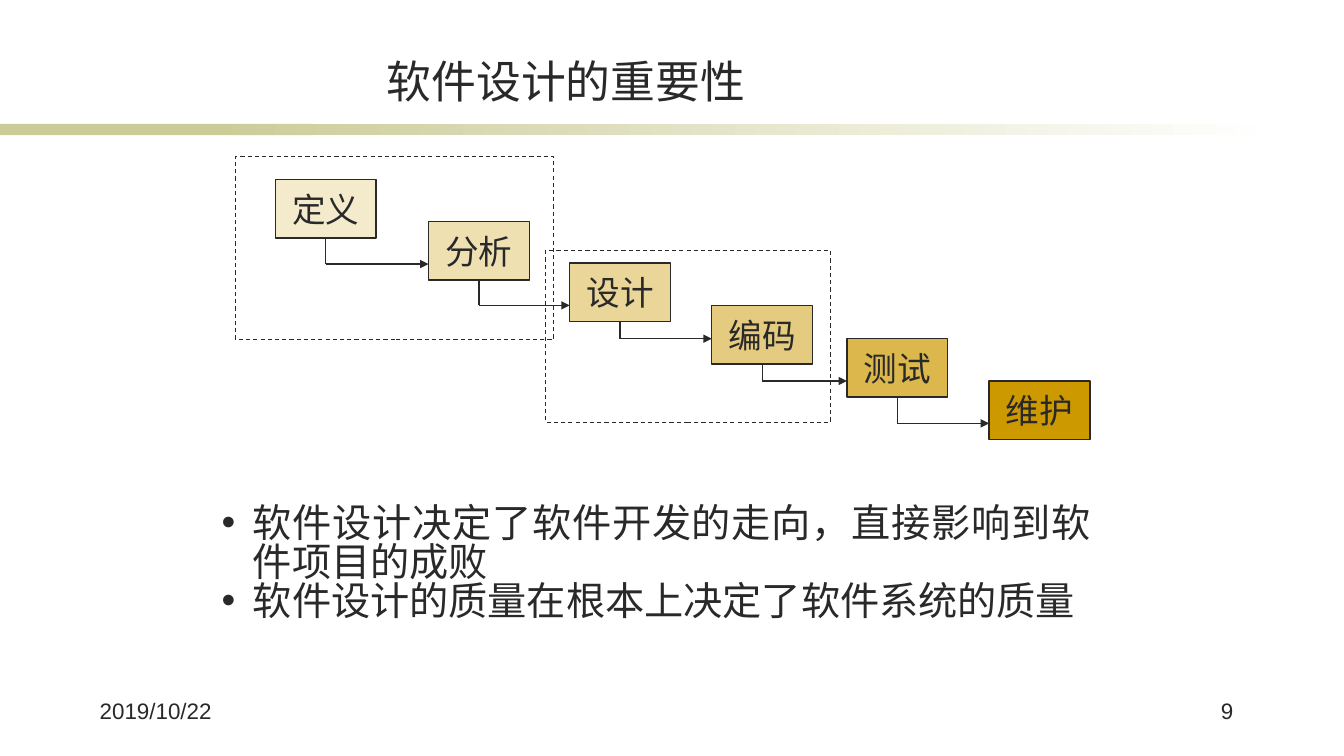
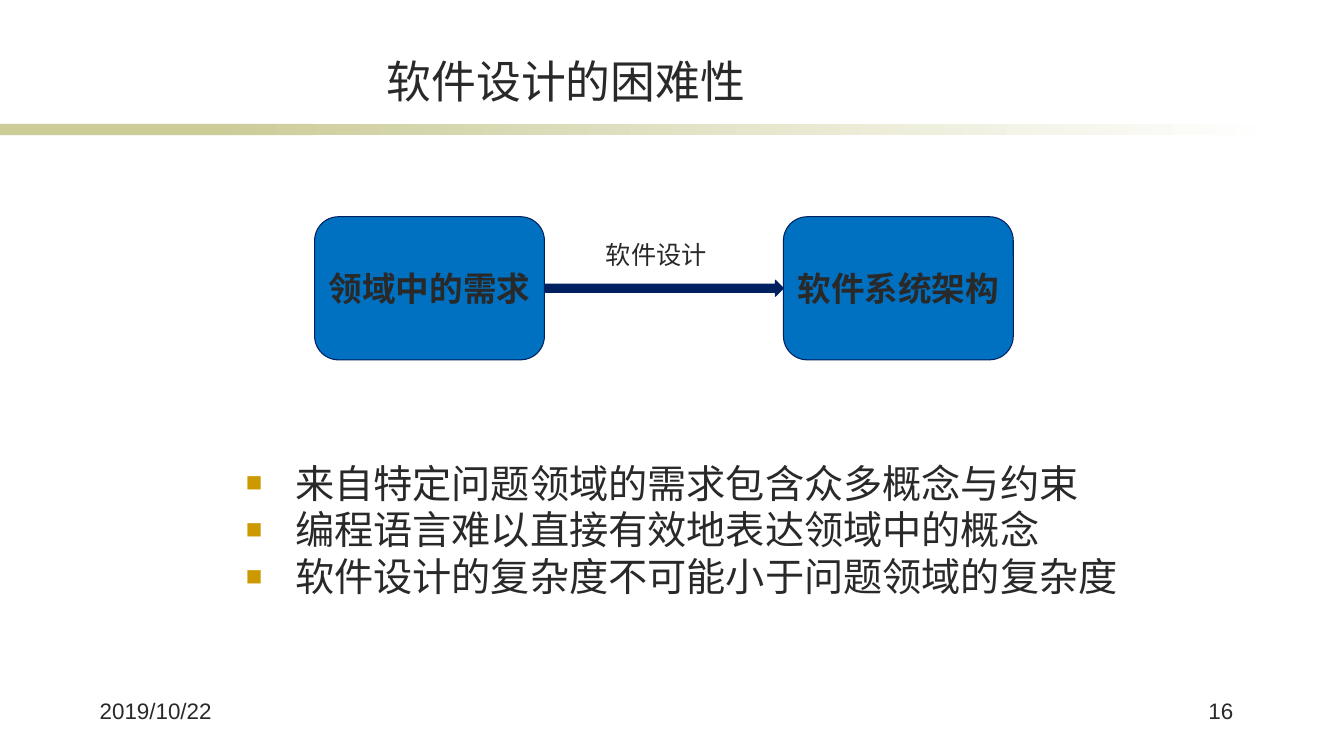
from dataclasses import dataclass
from itertools import pairwise
from typing import Optional

from lxml import etree
from pptx import Presentation
from pptx import util as u
from pptx.dml.color import RGBColor
from pptx.enum import dml, shapes, text
from pptx.oxml import ns


@dataclass(frozen=True)
class Theme:
    ink: str = "292929"
    band: str = "CCCC99"
    paper: str = "FFFFFF"
    gold: str = "CC9900"
    blue: str = "0070C0"
    navy: str = "002060"
    latin: str = "Arial"
    serif: str = "Times New Roman"
    chinese: str = "Noto Sans CJK SC"
    title_size: int = 32
    body_size: int = 28
    box_size: int = 24
    label_size: int = 18
    footer_size: int = 16
    body_leading: float = 0.83


@dataclass(frozen=True)
class Box:
    left: float
    top: float
    width: float
    height: float

    def lengths(self) -> tuple:
        return tuple(u.Inches(v) for v in (self.left, self.top, self.width, self.height))


@dataclass(frozen=True)
class Stage:
    name: str
    left: float
    top: float
    opacity: int
    entry: float = 0.42  # arrow height below the top of the box


@dataclass(frozen=True)
class Bullet:
    mark: str
    indent: float
    align: text.PP_ALIGN
    font: str
    gap: float = 0
    colour: Optional[str] = None
    size_percent: Optional[int] = None


THEME = Theme()
DATE = "2019/10/22"
TITLE_BOX = Box(1.52, 0.44, 8.19, 0.63)
STAGE_WIDTH, STAGE_HEIGHT = 1.0, 0.58
STAGES = (
    Stage("定义", 2.73, 1.78, 20),
    Stage("分析", 4.25, 2.2, 30),
    Stage("设计", 5.65, 2.61, 40),
    Stage("编码", 7.06, 3.03, 50, entry=0.33),
    Stage("测试", 8.4, 3.36, 70),
    Stage("维护", 9.81, 3.78, 100),
)
PHASE_FRAMES = (Box(2.34, 1.55, 3.15, 1.82), Box(5.41, 2.49, 2.83, 1.7))
IMPORTANCE = (
    "软件设计决定了软件开发的走向，直接影响到软件项目的成败",
    "软件设计的质量在根本上决定了软件系统的质量",
)
DIFFICULTIES = (
    "来自特定问题领域的需求包含众多概念与约束",
    "编程语言难以直接有效地表达领域中的概念",
    "软件设计的复杂度不可能小于问题领域的复杂度",
)
DOT = Bullet("•", 0.31, text.PP_ALIGN.JUSTIFY, THEME.serif)
SQUARE = Bullet("■", 0.49, text.PP_ALIGN.LEFT, THEME.latin, 5.6, THEME.gold, 70)


def rgb(colour: str) -> RGBColor:
    return RGBColor.from_string(colour)


def add_child(parent, tag: str, **attributes: str):
    child = etree.SubElement(parent, ns.qn(tag))
    for key, value in attributes.items():
        child.set(key, value)
    return child


def format_paragraph(paragraph, size: float, font: str, align=text.PP_ALIGN.LEFT,
                     bold: bool = False) -> None:
    paragraph.alignment = align
    for run in paragraph.runs:
        run.font.size = u.Pt(size)
        run.font.bold = bold
        run.font.color.rgb = rgb(THEME.ink)
        run.font.name = font
        add_child(run._r.get_or_add_rPr(), "a:ea", typeface=THEME.chinese)


def add_label(slide, box: Box, words: str, size: float, font: str,
              align=text.PP_ALIGN.LEFT, inset_top: float = 0.05) -> None:
    frame = slide.shapes.add_textbox(*box.lengths()).text_frame
    frame.word_wrap = True
    frame.margin_top = u.Inches(inset_top)
    frame.text = words
    format_paragraph(frame.paragraphs[0], size, font, align)


def add_block(slide, kind, box: Box, fill: Optional[str] = None,
              line: Optional[str] = None, line_width: float = 0.75):
    block = slide.shapes.add_shape(kind, *box.lengths())
    block.shadow.inherit = False
    if fill:
        block.fill.solid()
        block.fill.fore_color.rgb = rgb(fill)
    else:
        block.fill.background()
    if line:
        block.line.color.rgb = rgb(line)
        block.line.width = u.Pt(line_width)
    else:
        block.line.fill.background()
    return block


def write_in_block(block, words: str, font: str, bold: bool = False) -> None:
    frame = block.text_frame
    frame.word_wrap = False
    frame.vertical_anchor = text.MSO_ANCHOR.MIDDLE
    frame.text = words
    format_paragraph(frame.paragraphs[0], THEME.box_size, font, text.PP_ALIGN.CENTER, bold)


def add_line(slide, start: tuple[float, float], end: tuple[float, float],
             arrow: bool = False) -> None:
    line = slide.shapes.add_connector(
        shapes.MSO_CONNECTOR.STRAIGHT, *(u.Inches(v) for v in (*start, *end)))
    line.line.color.rgb = rgb(THEME.ink)
    line.line.width = u.Pt(1)
    if arrow:
        add_child(line.line._get_or_add_ln(), "a:tailEnd", type="triangle")
    add_child(line._element.spPr, "a:effectLst")


def add_bullets(slide, box: Box, points: tuple[str, ...], bullet: Bullet) -> None:
    frame = slide.shapes.add_textbox(*box.lengths()).text_frame
    frame.word_wrap = True
    frame.margin_top = u.Inches(0.09)
    frame.text = "\n".join(points)
    for index, paragraph in enumerate(frame.paragraphs):
        properties = paragraph._p.get_or_add_pPr()
        indent = u.Inches(bullet.indent)
        properties.set("marL", str(indent))
        properties.set("indent", str(-indent))
        if bullet.colour:
            add_child(add_child(properties, "a:buClr"), "a:srgbClr", val=bullet.colour)
        if bullet.size_percent:
            add_child(properties, "a:buSzPct", val=str(bullet.size_percent * 1000))
        add_child(properties, "a:buFont", typeface=THEME.latin)
        add_child(properties, "a:buChar", char=bullet.mark)
        paragraph.line_spacing = THEME.body_leading
        paragraph.space_before = u.Pt(bullet.gap if index else 0)
        format_paragraph(paragraph, THEME.body_size, bullet.font, bullet.align)


def start_slide(deck, heading: str, number: int):
    """Add a slide with the shared band, footer and title."""
    slide = deck.slides.add_slide(deck.slide_layouts[5])
    rectangle = shapes.MSO_SHAPE.RECTANGLE
    add_block(slide, rectangle, Box(0, 1.23, 3.11, 0.11), THEME.band)
    fade = add_block(slide, rectangle, Box(2.11, 1.23, 10.56, 0.11)).fill
    fade.gradient()
    fade.gradient_angle = 0
    for stop, colour in zip(fade.gradient_stops, (THEME.band, THEME.paper)):
        stop.color.rgb = rgb(colour)

    add_label(slide, Box(0.89, 6.87, 1.89, 0.5), DATE, THEME.footer_size, THEME.latin)
    add_label(slide, Box(10.97, 6.87, 1.36, 0.5), str(number), THEME.footer_size,
              THEME.latin, text.PP_ALIGN.RIGHT)

    title = slide.shapes.title
    title.left, title.top, title.width, title.height = TITLE_BOX.lengths()
    frame = title.text_frame
    frame.auto_size = text.MSO_AUTO_SIZE.NONE
    frame.vertical_anchor = text.MSO_ANCHOR.BOTTOM
    frame.margin_bottom = 0
    frame.text = heading
    format_paragraph(frame.paragraphs[0], THEME.title_size, THEME.latin, text.PP_ALIGN.CENTER)
    return slide


def add_stage(slide, stage: Stage) -> None:
    block = add_block(slide, shapes.MSO_SHAPE.RECTANGLE,
                      Box(stage.left, stage.top, STAGE_WIDTH, STAGE_HEIGHT),
                      THEME.gold, THEME.ink, 1)
    if stage.opacity < 100:
        colour = block._element.spPr.find(f"{ns.qn('a:solidFill')}/{ns.qn('a:srgbClr')}")
        add_child(colour, "a:alpha", val=str(stage.opacity * 1000))
    write_in_block(block, stage.name, THEME.serif)


def build_importance(deck) -> None:
    slide = start_slide(deck, "软件设计的重要性", 9)
    for stage in STAGES:
        add_stage(slide, stage)
    for stage, following in pairwise(STAGES):
        middle = stage.left + STAGE_WIDTH / 2
        corner = (middle, following.top + stage_entry(stage, following))
        add_line(slide, (middle, stage.top + STAGE_HEIGHT), corner)
        add_line(slide, corner, (following.left, corner[1]), arrow=True)
    for frame in PHASE_FRAMES:
        outline = add_block(slide, shapes.MSO_SHAPE.RECTANGLE, frame, line=THEME.ink)
        outline.line.dash_style = dml.MSO_LINE.DASH
    add_bullets(slide, Box(2.1, 4.93, 8.82, 1.51), IMPORTANCE, DOT)


def stage_entry(stage: Stage, following: Stage) -> float:
    """Keep the arrow below the stage it leaves."""
    return max(following.entry, stage.top + STAGE_HEIGHT - following.top)


def build_difficulty(deck) -> None:
    slide = start_slide(deck, "软件设计的困难性", 16)
    add_bullets(slide, Box(2.34, 4.54, 8.9, 1.65), DIFFICULTIES, SQUARE)
    for left, words in ((3.12, "领域中的需求"), (7.77, "软件系统架构")):
        block = add_block(slide, shapes.MSO_SHAPE.ROUNDED_RECTANGLE,
                          Box(left, 2.15, 2.28, 1.42), THEME.blue, THEME.navy)
        write_in_block(block, words, THEME.chinese, bold=True)
    add_block(slide, shapes.MSO_SHAPE.RIGHT_ARROW, Box(5.41, 2.78, 2.36, 0.16),
              THEME.navy, THEME.navy)
    add_label(slide, Box(5.88, 2.35, 1.26, 0.4), "软件设计", THEME.label_size,
              THEME.chinese, text.PP_ALIGN.CENTER, inset_top=0.02)


def main() -> None:
    deck = Presentation()
    deck.slide_width, deck.slide_height = u.Inches(13.33), u.Inches(7.5)
    build_importance(deck)
    build_difficulty(deck)
    deck.save("out.pptx")


if __name__ == "__main__":
    main()
